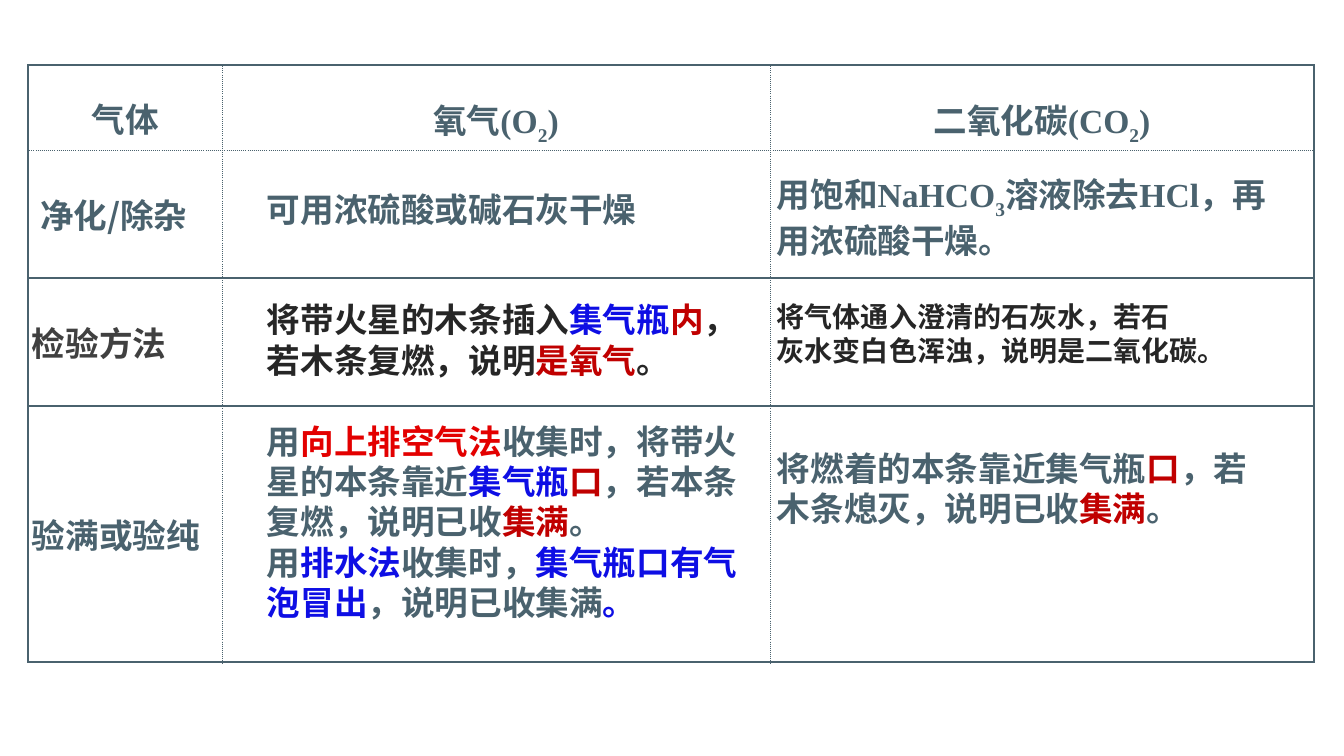
from lxml.etree import SubElement
from pptx import Presentation
from pptx.dml.color import RGBColor
from pptx.enum.text import MSO_ANCHOR as Anchor, PP_ALIGN as Align
from pptx.oxml.ns import qn
from pptx.util import Emu, Pt

SERIF, SANS = "Times New Roman", "Noto Sans CJK SC"
SLATE, BLACK, GREY = "4A626E", "262626", "404040"
BLUE = {"colour": "0E0EE4"}
RED = {"colour": "C00000"}
BRIGHT_RED = {"colour": "E30000"}
SUBSCRIPT = {"baseline": "-25000"}
SLASH = {"font": SANS}


def px(length):
    return Emu(round(length * 914400 / 100.8))


def rgb(colour):
    return RGBColor.from_string(colour)


class GasSlide:
    """Holds the style and the current slide of the gas comparison."""

    def __init__(self, presentation):
        self.slide = presentation.slides.add_slide(presentation.slide_layouts[6])

    def fill_paragraph(self, paragraph, parts, colour=SLATE, size=24, font=SERIF, before=0):
        paragraph.space_before = Pt(before)
        style = paragraph.font
        style.size, style.bold, style.name = Pt(size), True, font
        style.color.rgb = rgb(colour)
        SubElement(paragraph._p.pPr.find(qn("a:defRPr")), qn("a:ea"), typeface=SANS)
        for part in parts:
            text, options = (part, {}) if isinstance(part, str) else part
            run = paragraph.add_run()
            run.text = text
            if "colour" in options:
                run.font.color.rgb = rgb(options["colour"])
            if "font" in options:
                run.font.name = options["font"]
            if "baseline" in options:
                run.font._element.set("baseline", options["baseline"])

    def text(self, left, top, width, height, lines):
        frame = self.slide.shapes.add_textbox(*map(px, (left, top, width, height))).text_frame
        frame.word_wrap = True
        for index, (parts, options) in enumerate(lines):
            paragraph = frame.add_paragraph() if index else frame.paragraphs[0]
            self.fill_paragraph(paragraph, parts, **options)

    def border(self, cell, side, dotted):
        line = SubElement(cell._tc.get_or_add_tcPr(), qn(f"a:ln{side}"),
                          w=str(Pt(0.25 if dotted else 1.5)))
        SubElement(SubElement(line, qn("a:solidFill")), qn("a:srgbClr"), val=SLATE)
        SubElement(line, qn("a:prstDash"), val="sysDot" if dotted else "solid")

    def table(self, left, top, widths, heights):
        frame = self.slide.shapes.add_table(
            len(heights), len(widths),
            *map(px, (left, top, sum(widths), sum(heights))))
        table = frame.table
        for column, width in zip(table.columns, widths):
            column.width = px(width)
        last = len(widths) - 1
        for row_index, (row, height) in enumerate(zip(table.rows, heights)):
            row.height = px(height)
            for column_index, cell in enumerate(row.cells):
                cell.margin_left = cell.margin_right = px(4)
                cell.margin_top = cell.margin_bottom = px(4)
                self.border(cell, "L", column_index > 0)
                self.border(cell, "R", column_index < last)
                self.border(cell, "T", row_index == 1)
                self.border(cell, "B", row_index == 0)
                cell.fill.solid()
                cell.fill.fore_color.rgb = rgb("FFFFFF")
        return table

    def header(self, cell, parts):
        paragraph = cell.text_frame.paragraphs[0]
        paragraph.alignment, paragraph.line_spacing = Align.CENTER, 1.5
        self.fill_paragraph(paragraph, parts)

    def label(self, cell, parts, colour=SLATE, indent=4):
        cell.vertical_anchor, cell.margin_left = Anchor.MIDDLE, px(indent)
        self.fill_paragraph(cell.text_frame.paragraphs[0], parts, colour)


def main():
    presentation = Presentation()
    presentation.slide_width, presentation.slide_height = px(1344), px(756)
    page = GasSlide(presentation)

    table = page.table(28, 65, [194, 548, 544], [80, 128, 128, 256])
    headers = [
        ["气体"],
        ["氧气(O", ("2", SUBSCRIPT), ")"],
        ["二氧化碳(CO", ("2", SUBSCRIPT), ")"],
    ]
    for column, parts in enumerate(headers):
        page.header(table.cell(0, column), parts)
    page.label(table.cell(1, 0), ["净化", ("/", SLASH), "除杂"], indent=12)
    page.label(table.cell(2, 0), ["检验方法"], GREY)
    page.label(table.cell(3, 0), ["验满或验纯"])

    page.text(257, 184, 516, 446, [
        (["可用浓硫酸或碱石灰干燥"], {}),
        (["将带火星的木条插入", ("集气瓶", BLUE), ("内", RED), "，"],
         {"colour": BLACK, "before": 50}),
        (["若木条复燃，说明", ("是氧气", RED), "。"], {"colour": BLACK}),
        (["用", ("向上排空气法", BRIGHT_RED), "收集时，将带火"], {"before": 29}),
        (["星的本条靠近", ("集气瓶", BLUE), ("口", RED), "，若本条"], {}),
        (["复燃，说明已收", ("集满", RED), "。"], {}),
        (["用", ("排水法", BLUE), "收集时，", ("集气瓶口有气", BLUE)], {}),
        ([("泡冒出", BLUE), "，说明已收集满", ("。", BLUE)], {}),
    ])

    lime_water = {"colour": BLACK, "size": 20, "font": SANS}
    page.text(767, 169, 514, 363, [
        (["用饱和NaHCO", ("3", SUBSCRIPT), "溶液除去HCl，再用浓硫酸干燥。"], {}),
        (["将气体通入澄清的石灰水，若石"], {**lime_water, "before": 28}),
        (["灰水变白色浑浊，说明是二氧化碳。"], lime_water),
        (["将燃着的本条靠近集气瓶", ("口", RED), "，若木条熄灭，说明已收",
          ("集满", RED), "。"], {"before": 58}),
    ])
    presentation.save("out.pptx")


if __name__ == "__main__":
    main()
